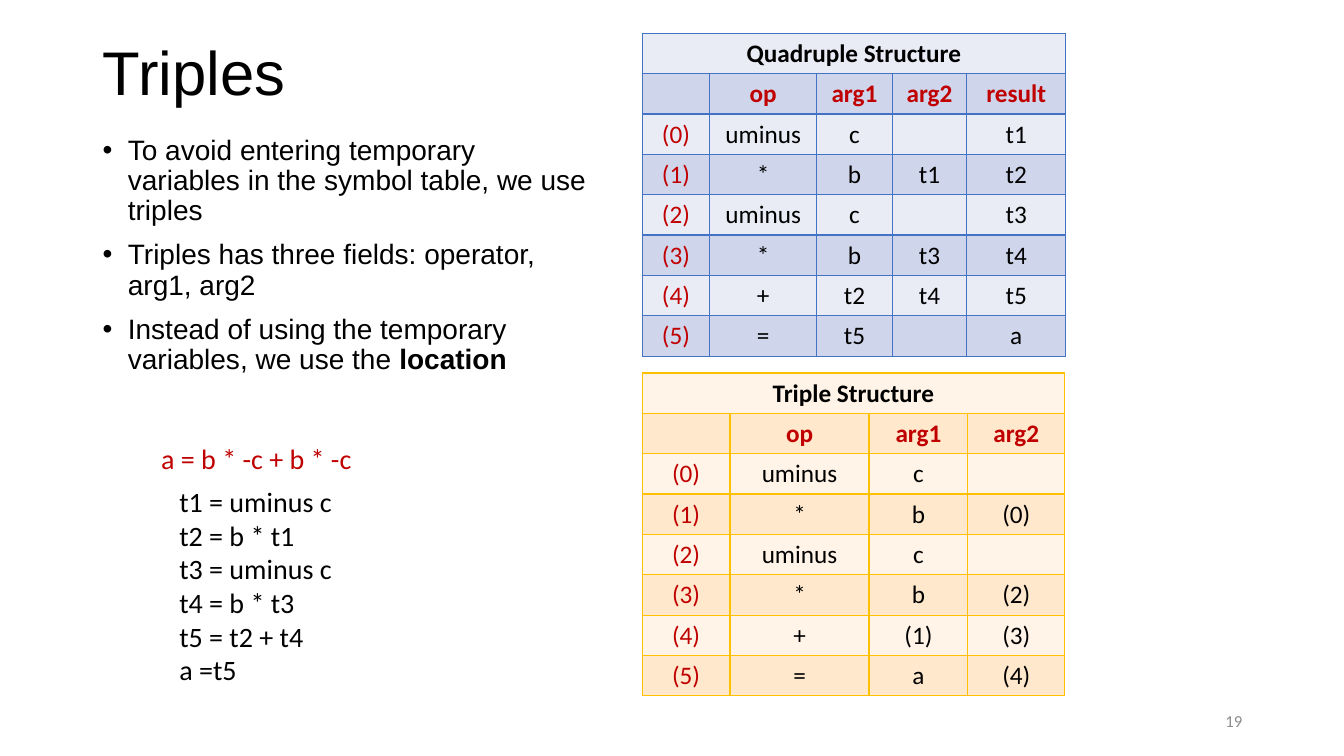
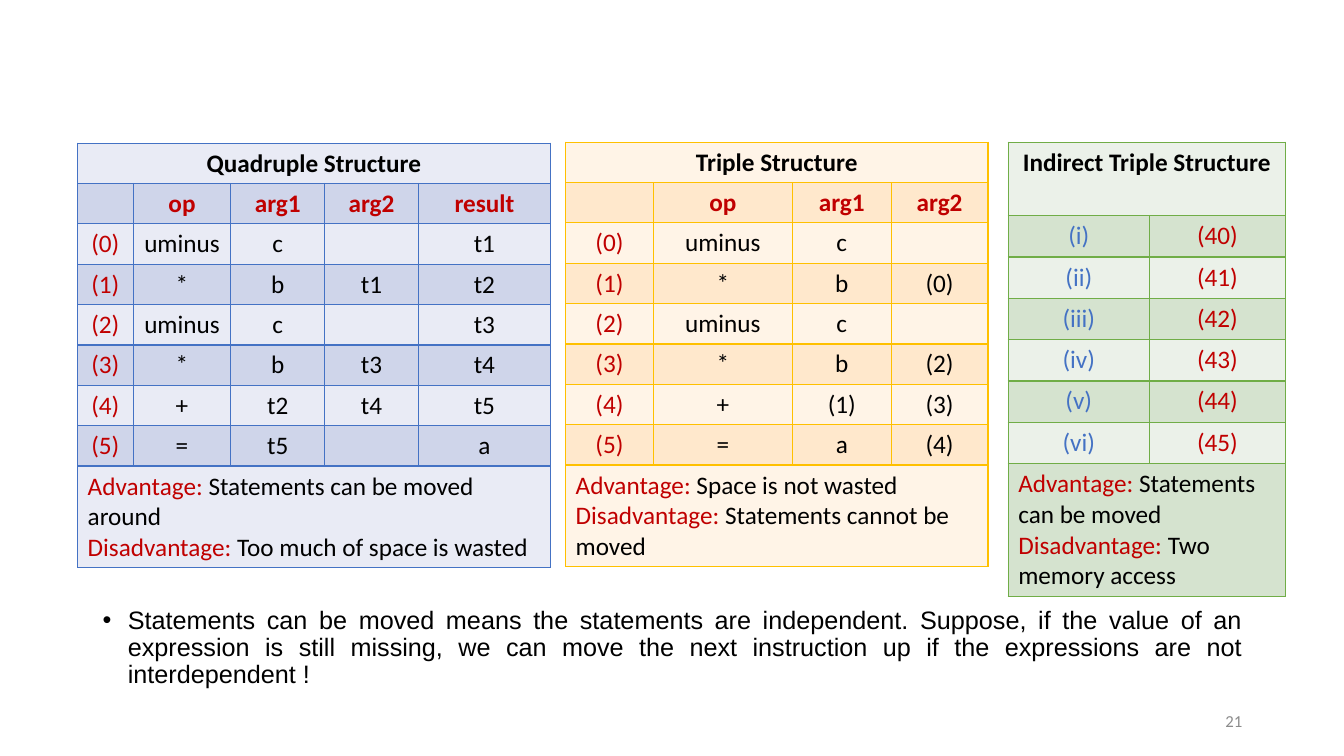
from lxml import etree
from pptx import Presentation
from pptx import util as u
from pptx.dml.color import RGBColor
from pptx.enum import text
from pptx.oxml import ns

COLORS = {
    "black": "000000", "red": "C00000", "blue": "4472C4", "gray": "8C8C8C",
    "blue_light": "E9EBF5", "blue_dark": "CFD5EA",
    "orange": "FFC000", "orange_light": "FFF4E7", "orange_dark": "FFE8CC",
    "green": "70AD47", "green_light": "EBF1E9", "green_dark": "D5E3CF",
}
CENTER = {"alignment": text.PP_ALIGN.CENTER}
LEFT = {"alignment": text.PP_ALIGN.LEFT}
RIGHT = {"alignment": text.PP_ALIGN.RIGHT}
TITLE = {"line_spacing": 0.9}
BULLET = {"line_spacing": 0.9, "space_before": u.Pt(10)}
JUSTIFIED_BULLET = {**BULLET, "alignment": text.PP_ALIGN.JUSTIFY}


def write(frame, paragraphs, size, font="Calibri", style=LEFT, bullet=False):
    frame.word_wrap = True
    for index, runs in enumerate(paragraphs):
        paragraph = frame.paragraphs[0] if index == 0 else frame.add_paragraph()
        for name, value in style.items():
            setattr(paragraph, name, value)
        if bullet:
            properties = paragraph._p.get_or_add_pPr()
            properties.set("marL", str(u.Inches(0.25)))
            properties.set("indent", str(u.Inches(-0.25)))
            etree.SubElement(properties, ns.qn("a:buFont"), typeface="Arial")
            etree.SubElement(properties, ns.qn("a:buChar"), char="•")
        for words, color, bold in runs:
            run = paragraph.add_run()
            run.text = words
            run.font.color.rgb = RGBColor.from_string(COLORS[color])
            for name, value in {"size": u.Pt(size), "name": font, "bold": bold}.items():
                setattr(run.font, name, value)


def add_grid(slide, hue, left, top, widths, heights, title, body, column_colors, notes=()):
    rows = [[title]] + body + ([[""]] if notes else [])
    table = slide.shapes.add_table(
        len(rows), len(widths), u.Inches(left), u.Inches(top),
        u.Inches(sum(widths)), u.Inches(sum(heights))).table
    table.first_row = table.horz_banding = False
    for column, width in zip(table.columns, widths):
        column.width = u.Inches(width)
    for row_index, values in enumerate(rows):
        table.rows[row_index].height = u.Inches(heights[row_index])
        shade = COLORS[hue + ("_dark" if row_index % 2 else "_light")]
        for column_index in range(len(widths)):
            cell = table.cell(row_index, column_index)
            properties = cell._tc.get_or_add_tcPr()
            for side in ("lnL", "lnR", "lnT", "lnB"):
                line = etree.SubElement(properties, ns.qn("a:" + side), w=str(u.Pt(1)))
                fill = etree.SubElement(line, ns.qn("a:solidFill"))
                etree.SubElement(fill, ns.qn("a:srgbClr"), val=COLORS[hue])
            cell.fill.solid()
            cell.fill.fore_color.rgb = RGBColor.from_string(shade)
        if len(values) == 1:
            table.cell(row_index, 0).merge(table.cell(row_index, len(widths) - 1))
        for column_index, value in enumerate(values):
            if value:
                heading = row_index == 0 or "op" in values
                color = column_colors[column_index]
                if heading:
                    color = "black" if row_index == 0 else "red"
                frame = table.cell(row_index, column_index).text_frame
                write(frame, [[(value, color, heading)]], 18, style=CENTER)
    if notes:
        paragraphs = [[(label, "red", False), (words, "black", False)]
                      for label, words in zip(("Advantage: ", "Disadvantage: "), notes)]
        write(table.cell(len(rows) - 1, 0).text_frame, paragraphs, 18)


quadruples = [
    ["", "op", "arg1", "arg2", "result"],
    ["(0)", "uminus", "c", "", "t1"],
    ["(1)", "*", "b", "t1", "t2"],
    ["(2)", "uminus", "c", "", "t3"],
    ["(3)", "*", "b", "t3", "t4"],
    ["(4)", "+", "t2", "t4", "t5"],
    ["(5)", "=", "t5", "", "a"],
]
triples = [
    ["", "op", "arg1", "arg2"],
    ["(0)", "uminus", "c", ""],
    ["(1)", "*", "b", "(0)"],
    ["(2)", "uminus", "c", ""],
    ["(3)", "*", "b", "(2)"],
    ["(4)", "+", "(1)", "(3)"],
    ["(5)", "=", "a", "(4)"],
]
numerals = ["i", "ii", "iii", "iv", "v", "vi"]
pointers = [[f"({numeral})", f"({40 + index})"] for index, numeral in enumerate(numerals)]
instruction_colors = ["red"] + ["black"] * 4
triple_widths = [0.87, 1.38, 0.98, 0.96]
even_rows = [0.4] * 8
noted_rows = even_rows + [1.01]

presentation = Presentation()
presentation.slide_width = u.Inches(13.33)
presentation.slide_height = u.Inches(7.5)
blank = presentation.slide_layouts[6]
triples_slide, comparison_slide = [presentation.slides.add_slide(blank) for _ in range(2)]

bullets = [
    [("To avoid entering temporary variables in the symbol table, we use triples", "black", False)],
    [("Triples has three fields: operator, arg1, arg2", "black", False)],
    [("Instead of using the temporary variables, we use the ", "black", False),
     ("location", "black", True)],
]
code = ["t1 = uminus c", "t2 = b * t1", "t3 = uminus c", "t4 = b * t3", "t5 = t2 + t4", "a =t5"]
explanation = (
    "Statements can be moved means the statements are independent. Suppose, if the value of an "
    "expression is still missing, we can move the next instruction up if the expressions are not "
    "interdependent !")
number_box = (9.42, 6.95, 3, 0.4)
top, middle = text.MSO_ANCHOR.TOP, text.MSO_ANCHOR.MIDDLE

text_boxes = [
    (triples_slide, (0.92, 0.02, 11.5, 1.45), middle, [[("Triples", "black", False)]],
     {"size": 44, "font": "Arial", "style": TITLE}),
    (triples_slide, (0.92, 1.3, 5.03, 2.93), top, bullets,
     {"size": 20, "font": "Arial", "style": BULLET, "bullet": True}),
    (triples_slide, (1.68, 4.76, 2.22, 2.12), top, [[(line, "black", False)] for line in code],
     {"size": 20}),
    (triples_slide, (1.5, 4.33, 2.52, 0.44), top, [[("a = b * -c + b * -c", "red", False)]],
     {"size": 20}),
    (triples_slide, number_box, middle, [[("19", "gray", False)]], {"size": 12, "style": RIGHT}),
    (comparison_slide, (0.92, 5.98, 11.5, 0.97), top, [[(explanation, "black", False)]],
     {"size": 18, "font": "Arial", "style": JUSTIFIED_BULLET, "bullet": True}),
    (comparison_slide, number_box, middle, [[("21", "gray", False)]], {"size": 12, "style": RIGHT}),
]
for slide, box, anchor, paragraphs, options in text_boxes:
    frame = slide.shapes.add_textbox(*[u.Inches(length) for length in box]).text_frame
    frame.vertical_anchor = anchor
    write(frame, paragraphs, **options)

add_grid(triples_slide, "blue", 6.37, 0.33, [0.67, 1.06, 0.75, 0.74, 0.98], even_rows,
         "Quadruple Structure", quadruples, instruction_colors)
add_grid(triples_slide, "orange", 6.37, 3.7, triple_widths, even_rows,
         "Triple Structure", triples, instruction_colors)
add_grid(comparison_slide, "blue", 0.77, 1.42, [0.55, 0.97, 0.93, 0.93, 1.31], noted_rows,
         "Quadruple Structure", quadruples, instruction_colors,
         ("Statements can be moved around", "Too much of space is wasted"))
add_grid(comparison_slide, "orange", 5.61, 1.41, triple_widths, noted_rows,
         "Triple Structure", triples, instruction_colors,
         ("Space is not wasted", "Statements cannot be moved"))
add_grid(comparison_slide, "green", 10, 1.41, [1.4, 1.35], [0.73] + [0.41] * 6 + [1.32],
         "Indirect Triple Structure", pointers, ["blue", "red"],
         ("Statements can be moved", "Two memory access"))

presentation.save("out.pptx")
